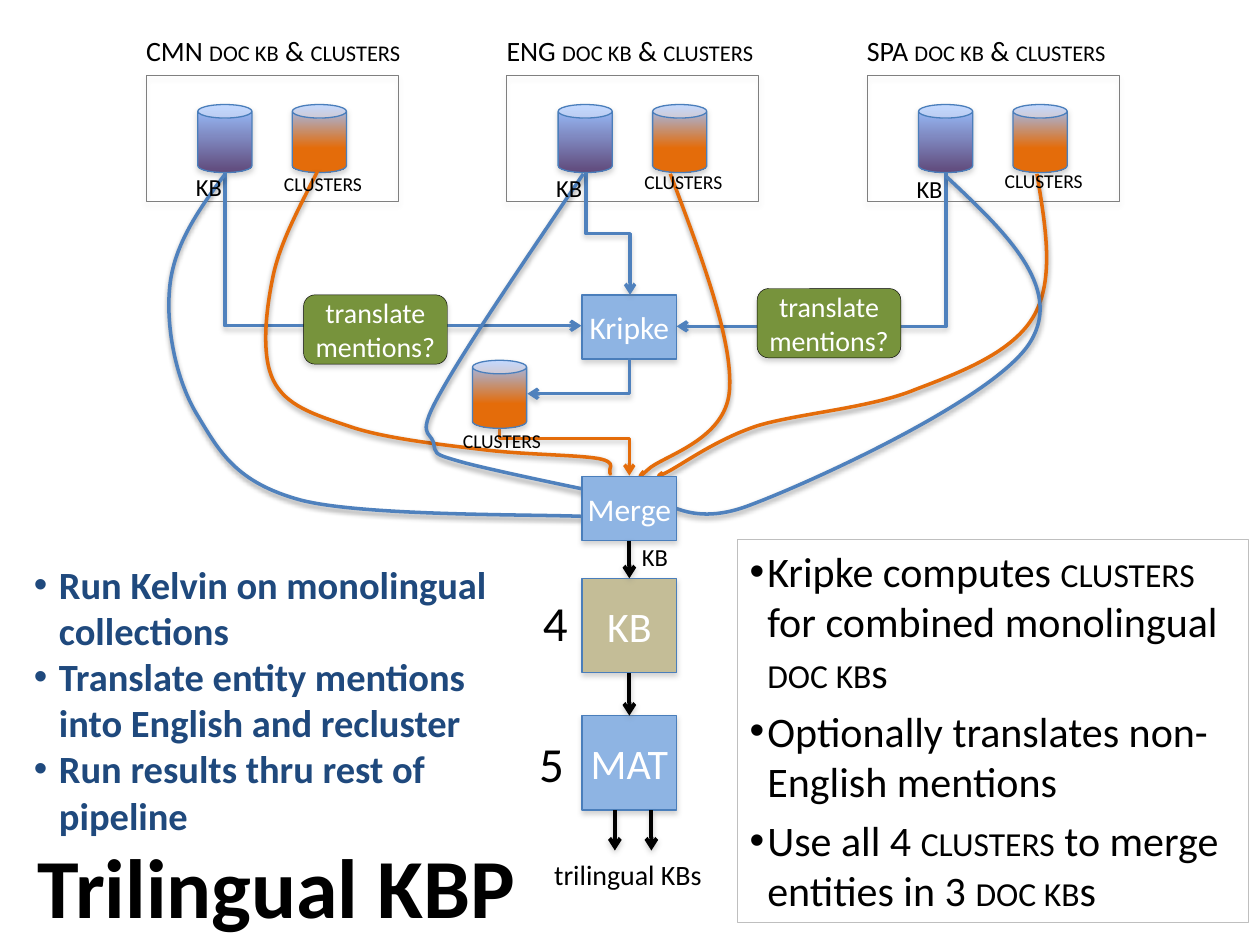
from typing import NamedTuple

from lxml.etree import SubElement
from pptx import Presentation
from pptx.dml.color import RGBColor
from pptx.enum.shapes import MSO_CONNECTOR, MSO_SHAPE
from pptx.enum.text import MSO_ANCHOR, MSO_AUTO_SIZE, PP_ALIGN
from pptx.oxml.ns import qn
from pptx.util import Cm, Pt

BLUE, ORANGE, EDGE, SKY = "4F81BD", "E46C0A", "4A7EBB", "8EB4E3"
BLACK, WHITE, GREEN, TAN, NAVY = "000000", "FFFFFF", "77933C", "C4BD97", "1F497D"
KB, GROUP = ("604A7B", 1.0), (ORANGE, 0.64)


class Box(NamedTuple):
    text: str
    x: float
    y: float
    w: float
    h: float
    fill: str
    size: int
    kind: MSO_SHAPE = MSO_SHAPE.RECTANGLE
    edge: str = EDGE
    weight: float = 0.75


class Label(NamedTuple):
    text: str
    x: float
    y: float
    w: float
    h: float
    size: int = 14
    inset: float = 0
    anchor: MSO_ANCHOR = MSO_ANCHOR.MIDDLE


class Bend(NamedTuple):
    """An elbow arrow: frame before turning, turn in degrees, mirror, corner."""
    x: float
    y: float
    w: float
    h: float
    turn: int
    flip: bool
    hue: str = BLUE
    mid: float = 0


class Curve(NamedTuple):
    """Points run start, then two handles and an end for each segment."""
    hue: str
    points: list


BOXES = [
    Box("KB", 4.62, 4.59, 0.75, 0.75, TAN, 24),
    Box("MAT", 4.62, 5.68, 0.75, 0.75, SKY, 24),
    Box("Kripke", 4.62, 2.34, 0.75, 0.51, SKY, 18),
]
MERGE = Box("Merge", 4.62, 3.78, 0.75, 0.51, SKY, 18)
ASKS = [Box("translate mentions?", x, y, 1.14, 0.55, GREEN, 16,
            MSO_SHAPE.ROUNDED_RECTANGLE, BLACK, 0.25)
        for x, y in [(2.41, 2.34), (6.01, 2.29)]]
BENDS = [
    Bend(2.59, 0.56, 1.22, 2.83, 270, True),
    Bend(5.83, 0.91, 1.22, 2.14, 90, False),
    Bend(4.34, 1.68, 0.97, 0.35, 270, True, BLUE, 0.5),
    Bend(4.45, 2.58, 0.28, 0.81, 90, False),
    Bend(4.29, 3.07, 0.38, 1.03, 270, True, ORANGE, 0.23),
]
CURVES = [
    Curve(ORANGE, [(5.32, 1.38), (5.57, 2.04), (5.82, 2.71), (5.79, 3.1),
                   (5.76, 3.5), (5.25, 3.62), (5.14, 3.73),
                   (5.03, 3.83), (5.11, 3.74), (5.11, 3.74)]),
    Curve(ORANGE, [(8.23, 1.38), (8.3, 1.8), (8.37, 2.21), (8.21, 2.5),
                   (8.05, 2.79), (7.64, 2.95), (7.27, 3.09),
                   (6.91, 3.24), (6.34, 3.28), (6.01, 3.38),
                   (5.68, 3.49), (5.41, 3.69), (5.29, 3.75),
                   (5.17, 3.81), (5.26, 3.75), (5.26, 3.75)]),
    Curve(ORANGE, [(2.52, 1.36), (2.38, 1.64), (2.23, 1.91), (2.17, 2.18),
                   (2.11, 2.46), (2.07, 2.82), (2.17, 3.02),
                   (2.27, 3.22), (2.49, 3.29), (2.76, 3.38),
                   (3.04, 3.48), (3.51, 3.53), (3.84, 3.57),
                   (4.17, 3.61), (4.58, 3.61), (4.75, 3.64),
                   (4.91, 3.67), (4.82, 3.73), (4.84, 3.75),
                   (4.85, 3.77), (4.84, 3.76), (4.84, 3.76)]),
    Curve(BLUE, [(4.63, 1.38), (4.17, 2.06), (3.7, 2.75), (3.5, 3.11),
                 (3.3, 3.46), (3.41, 3.42), (3.44, 3.51),
                 (3.46, 3.6), (3.43, 3.6), (3.64, 3.66),
                 (3.84, 3.72), (4.67, 3.89), (4.67, 3.89)]),
    Curve(BLUE, [(1.78, 1.39), (1.58, 1.66), (1.39, 1.93), (1.35, 2.25),
                 (1.31, 2.57), (1.39, 3.01), (1.57, 3.3),
                 (1.74, 3.58), (1.87, 3.83), (2.39, 3.97),
                 (2.9, 4.1), (4.29, 4.08), (4.67, 4.1)]),
    Curve(BLUE, [(7.51, 1.4), (7.98, 1.84), (8.44, 2.28), (8.18, 2.71),
                 (7.92, 3.15), (6.46, 3.82), (5.95, 4.01),
                 (5.43, 4.21), (5.22, 3.92), (5.08, 3.9)]),
]
TASKS = ["Run Kelvin on monolingual collections",
         "Translate entity mentions into English and recluster",
         "Run results thru rest of pipeline"]
NOTES = ["Kripke computes |clusters| for combined monolingual |doc kb|s",
         "Optionally translates non-English mentions",
         "Use all 4 |clusters| to merge entities in 3 |doc kb|s"]


def span(*sizes: float) -> list:
    """Turn inches into lengths."""
    return [Cm(size * 2.54) for size in sizes]


def paint(color, hue: str) -> None:
    color.rgb = RGBColor.from_string(hue)


def put(thing, **values) -> None:
    for name, value in values.items():
        setattr(thing, name, value)


def stroke(shape, hue: str, weight: float, shade="808080", depth=35, drop=1.8) -> None:
    """Set the line, and the soft shadow below it."""
    paint(shape.line.color, hue)
    shape.line.width = Pt(weight)
    effect = SubElement(shape._element.spPr, qn("a:effectLst"))
    if shade:
        cast = SubElement(effect, qn("a:outerShdw"), blurRad=str(Pt(3.1)),
                          dist=str(Pt(drop)), dir="5400000", rotWithShape="0")
        tint = SubElement(cast, qn("a:srgbClr"), val=shade)
        SubElement(tint, qn("a:alpha"), val=str(depth * 1000))


def write(frame, lines: list, size: int, hue=BLACK, bold=False, align=None,
          hang=0.0, dot=False) -> None:
    """Fill a frame; text between bars is in small capitals."""
    for i, line in enumerate(lines):
        para = frame.add_paragraph() if i else frame.paragraphs[0]
        para.alignment = align
        if hang:
            edge = span(hang)[0]
            props = para._p.get_or_add_pPr()
            props.set("marL", str(edge))
            props.set("indent", str(-edge))
            if dot:
                SubElement(props, qn("a:buFont"), typeface="Arial")
                SubElement(props, qn("a:buChar"), char="•")
        for j, part in enumerate(line.split("|")):
            if part:
                run = para.add_run()
                run.text = part
                put(run.font, name="Calibri", size=Pt(size), bold=bold)
                paint(run.font.color, hue)
                if j % 2:
                    run._r.get_or_add_rPr().set("cap", "small")


def draw_box(shapes, box: Box):
    shape = shapes.add_shape(box.kind, *span(box.x, box.y, box.w, box.h))
    shape.fill.solid()
    paint(shape.fill.fore_color, box.fill)
    stroke(shape, box.edge, box.weight)
    put(shape.text_frame, margin_left=0, margin_right=0, word_wrap=True,
        vertical_anchor=MSO_ANCHOR.MIDDLE)
    if box.size < 24:
        put(shape.text_frame, margin_top=0, margin_bottom=0)
    write(shape.text_frame, [box.text], box.size, WHITE, align=PP_ALIGN.CENTER)
    return shape


def draw_can(shapes, x: float, y: float, tone: tuple) -> None:
    can = shapes.add_shape(MSO_SHAPE.CAN, *span(x, y, 0.43, 0.54))
    can.fill.gradient()
    can.fill.gradient_angle = 270
    for stop, (hue, place) in zip(can.fill.gradient_stops, [("9BC1FF", 0), tone]):
        paint(stop.color, hue)
        stop.position = place
    stroke(can, EDGE, 0.75)


def draw_label(shapes, label: Label) -> None:
    shape = shapes.add_textbox(*span(label.x, label.y, label.w, label.h))
    edge, rim = span(label.inset, label.inset / 2)
    put(shape.text_frame, margin_left=edge, margin_right=edge, margin_top=rim,
        margin_bottom=rim, word_wrap=False, vertical_anchor=label.anchor,
        auto_size=MSO_AUTO_SIZE.SHAPE_TO_FIT_TEXT)
    write(shape.text_frame, [label.text], label.size)


def draw_arrow(shapes, kind, ends: tuple, hue: str, weight: float):
    arrow = shapes.add_connector(kind, *span(*ends))
    stroke(arrow, hue, weight, depth=38, drop=1.6)
    SubElement(arrow._element.spPr.find(qn("a:ln")), qn("a:tailEnd"), type="arrow")
    return arrow


def draw_bend(shapes, bend: Bend) -> None:
    near, far = bend.x, bend.x + bend.w
    if bend.flip:
        near, far = far, near
    arrow = draw_arrow(shapes, MSO_CONNECTOR.ELBOW,
                       (near, bend.y, far, bend.y + bend.h), bend.hue, 2)
    props = arrow._element.spPr
    props.find(qn("a:xfrm")).set("rot", str(bend.turn * 60000))
    shape = props.find(qn("a:prstGeom"))
    if bend.mid:
        SubElement(shape.find(qn("a:avLst")), qn("a:gd"), name="adj1",
                   fmla=f"val {round(bend.mid * 100000)}")
    else:
        shape.set("prst", "bentConnector2")


def draw_curve(shapes, curve: Curve) -> None:
    """Trace the segment ends, then bend each segment by its two handles."""
    points = [span(*point) for point in curve.points]
    pen = shapes.build_freeform(*points[0], scale=1.0)
    pen.add_line_segments(points[3::3], close=False)
    shape = pen.convert_to_shape()
    shape.fill.background()
    stroke(shape, curve.hue, 2, BLACK, 38, 1.6)
    for i, part in enumerate(list(shape._element.iter(qn("a:lnTo")))):
        part.tag = qn("a:cubicBezTo")
        for j, (x, y) in enumerate(points[3 * i + 1:3 * i + 3]):
            knot = SubElement(part, qn("a:pt"), x=str(x - shape.left), y=str(y - shape.top))
            part.insert(j, knot)


def draw_source(shapes, i: int, name: str, width: float) -> list:
    """Draw one language frame and return the labels for its cans."""
    x = 1.16 + 2.86 * i
    draw_can(shapes, x + 0.41, 0.83, KB)
    draw_can(shapes, x + 1.16, 0.83, GROUP)
    frame = shapes.add_shape(MSO_SHAPE.RECTANGLE, *span(x, 0.6, 2, 1))
    frame.fill.background()
    stroke(frame, "7F7F7F", 0.25)
    draw_label(shapes, Label(f"{name} |doc kb| & |clusters", x, 0.27, width, 0.27,
                             16, anchor=MSO_ANCHOR.TOP))
    return [Label(" |clusters", x + 1.05, 1.32 - 0.01 * i, 0.68, 0.24),
            Label(" |KB", x + 0.35, 1.36 + 0.01 * i, 0.25, 0.24)]


def place(shape, *sizes: float) -> None:
    put(shape, **dict(zip(("left", "top", "width", "height"), span(*sizes))))


def main() -> None:
    deck = Presentation()
    deck.slide_width, deck.slide_height = span(10, 7.5)
    slide = deck.slides.add_slide(deck.slide_layouts[1])
    shapes = slide.shapes

    place(shapes.title, 0.2, 6.6, 4.97, 0.85)
    shapes.title.text_frame.auto_size = MSO_AUTO_SIZE.NONE
    write(shapes.title.text_frame, ["Trilingual KBP"], 48, bold=True, align=PP_ALIGN.LEFT)
    body = slide.placeholders[1]
    place(body, 5.85, 4.28, 4.06, 3.04)
    body.text_frame.auto_size = MSO_AUTO_SIZE.NONE
    stroke(body, "BFBFBF", 0.25, shade="")
    write(body.text_frame, NOTES, 24, hang=0.14)

    store, mat, _ = [draw_box(shapes, box) for box in BOXES]
    labels = [Label(" |clusters", 3.63, 3.37, 0.68, 0.23),
              Label(" |KB", 5.05, 4.3, 0.25, 0.24)]
    labels += [Label(text, x, y, w, h, size, 0.1, MSO_ANCHOR.TOP)
               for text, x, y, w, h, size in [("trilingual KBs", 4.3, 6.76, 1.39, 0.37, 16),
                                              ("4", 4.21, 4.65, 0.4, 0.57, 28),
                                              ("5", 4.18, 5.77, 0.4, 0.57, 28)]]
    for i, (name, width) in enumerate([("CMN", 2.05), ("ENG", 1.99), ("SPA", 1.94)]):
        labels += draw_source(shapes, i, name, width)
    for bend in BENDS:
        draw_bend(shapes, bend)
    draw_can(shapes, 3.75, 2.86, GROUP)
    for curve in CURVES:
        draw_curve(shapes, curve)

    tasks = shapes.add_textbox(*span(0.17, 4.4, 3.87, 2.69))
    tasks.text_frame.word_wrap = True
    write(tasks.text_frame, TASKS, 22, NAVY, True, hang=0.2, dot=True)
    for ask in ASKS:
        draw_box(shapes, ask)
    merge = draw_box(shapes, MERGE)
    for start, end, top, foot in [(merge, store, 4.29, 4.59), (store, mat, 5.34, 5.68)]:
        arrow = draw_arrow(shapes, MSO_CONNECTOR.STRAIGHT, (4.99, top, 4.99, foot), BLACK, 2.25)
        arrow.begin_connect(start, 2)
        arrow.end_connect(end, 0)
    for x in (4.88, 5.17):
        draw_arrow(shapes, MSO_CONNECTOR.STRAIGHT, (x, 6.43, x, 6.75), BLACK, 2.25)
    for label in labels:
        draw_label(shapes, label)
    deck.save("out.pptx")


if __name__ == "__main__":
    main()
